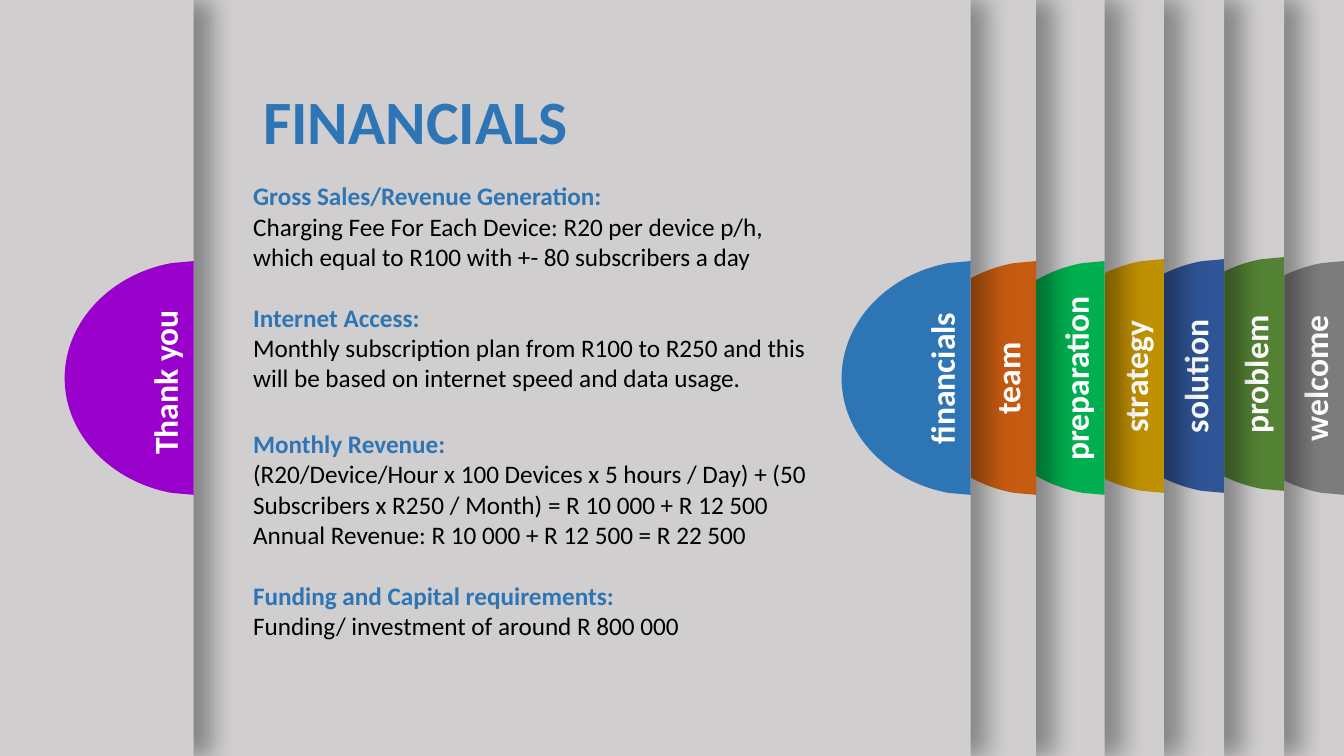
from lxml.etree import SubElement
from pptx import Presentation
from pptx.dml.color import RGBColor as Rgb
from pptx.enum.shapes import MSO_SHAPE as Kind
from pptx.enum.text import MSO_ANCHOR as Anchor, PP_ALIGN as Align
from pptx.oxml.ns import qn
from pptx.util import Cm, Pt

WIDE, HIGH = 33.87, 19.05
TAB_W, TAB_H = 3.25, 5.89
GREY, BLUE, BLACK, WHITE = "D0CECE", "2E75B6", "000000", "FFFFFF"
CURVE = [(2.69, 5.84), (1.17, 5.56), (0, 4.37), (0, 2.95)]

TABS = [
    ("welcome", 33.87, 6.58, "7C7C7C"),
    ("problem", 32.36, 6.48, "548235"),
    ("solution", 30.85, 6.53, "2F5597"),
    ("strategy", 29.33, 6.53, "BF9000"),
    ("preparation", 27.84, 6.58, "00B050"),
    ("team", 26.11, 6.58, "C55A11"),
    ("financials", 24.46, 6.58, BLUE),
    ("Thank you ", 4.88, 6.58, "9900CC"),
]

SALES = [
    ("Gross Sales/Revenue Generation:", [
        "Charging Fee For Each Device: R20 per device p/h, "
        "which equal to R100 with +- 80 subscribers a day"]),
    ("Internet Access:", [
        "Monthly subscription plan from R100 to R250 and this "
        "will be based on internet speed and data usage."]),
]
INCOME = [
    ("Monthly Revenue:", [
        "(R20/Device/Hour x 100 Devices x 5 hours / Day) + "
        "(50 Subscribers x R250 / Month) = R 10 000 + R 12 500",
        "Annual Revenue: R 10 000 + R 12 500 = R 22 500"]),
    ("Funding and Capital requirements:", [
        "Funding/ investment of around R 800 000"]),
]


def paint(fill, color):
    fill.solid()
    fill.fore_color.rgb = Rgb.from_string(color)


def write(para, text, size=18, color=BLACK, bold=False, align=Align.LEFT, gap=0):
    para.alignment = align
    para.space_before = Pt(gap)
    run = para.add_run()
    run.text = text
    font = run.font
    font.name, font.size, font.bold = "Calibri", Pt(size), bold
    paint(font.fill, color)


def finish(shape, color):
    paint(shape.fill, color)
    shape.line.fill.background()
    shape.shadow.inherit = False


def add_panel(shapes, right):
    panel = shapes.add_shape(Kind.RECTANGLE, Cm(right - WIDE), 0, Cm(WIDE), Cm(HIGH))
    finish(panel, GREY)
    effects = panel._element.spPr.find(qn("a:effectLst"))
    shade = SubElement(effects, qn("a:outerShdw"), blurRad=str(Pt(17)),
                       dist=str(Pt(3)), dir="0", sx="101000", algn="l",
                       rotWithShape="0")
    color = SubElement(shade, qn("a:srgbClr"), val=BLACK)
    SubElement(color, qn("a:alpha"), val="35000")


def round_off(shape, first):
    lines = list(shape._element.iter(qn("a:lnTo")))[first:]
    for start in range(0, 6, 3):
        arc, *rest = lines[start:start + 3]
        curve = arc.makeelement(qn("a:cubicBezTo"))
        arc.addprevious(curve)
        for line in (arc, *rest):
            curve.append(line[0])
            line.getparent().remove(line)


def add_tab(shapes, label, right, top, color):
    upper = [(x, TAB_H - y) for x, y in reversed(CURVE[:-1])]
    outline = [(TAB_W, 0), (TAB_W, TAB_H)] + CURVE + upper
    points = [(Cm(right - TAB_W + x), Cm(top + y)) for x, y in outline]
    pen = shapes.build_freeform(*points[0])
    pen.add_line_segments(points[1:], close=True)
    tab = pen.convert_to_shape()
    round_off(tab, 2)
    finish(tab, color)
    frame = tab.text_frame
    frame.vertical_anchor = Anchor.MIDDLE
    frame.margin_left, frame.margin_right = Cm(1.88), Cm(0.1)
    frame.margin_top, frame.margin_bottom = Cm(0.23), Cm(0.2)
    frame._txBody.bodyPr.set("vert", "vert270")
    write(frame.paragraphs[0], label, size=24, color=WHITE, bold=True,
          align=Align.CENTER)


def add_body(shapes, top, width, groups):
    box = shapes.add_textbox(Cm(6.13), Cm(top), Cm(width), Cm(6.4))
    frame = box.text_frame
    frame.word_wrap = True
    para = frame.paragraphs[0]
    for index, (head, lines) in enumerate(groups):
        if index:
            para = frame.add_paragraph()
        write(para, head, color=BLUE, bold=True, gap=22 if index else 0)
        for line in lines:
            write(frame.add_paragraph(), line)


def set_title(shapes, text):
    title = shapes.title
    title.left, title.top = Cm(6.38), Cm(1.96)
    title.width, title.height = Cm(13.31), Cm(2.13)
    title.text_frame.vertical_anchor = Anchor.TOP
    write(title.text_frame.paragraphs[0], text, size=44, color=BLUE, bold=True)
    shapes._spTree.append(title._element)


def main():
    deck = Presentation()
    deck.slide_width, deck.slide_height = Cm(WIDE), Cm(HIGH)
    slide = deck.slides.add_slide(deck.slide_layouts[5])
    paint(slide.background.fill, GREY)
    shapes = slide.shapes
    for label, right, top, color in TABS:
        add_panel(shapes, right)
        add_tab(shapes, label, right, top, color)
    set_title(shapes, "FINANCIALS")
    add_body(shapes, 4.43, 14.94, SALES)
    add_body(shapes, 10.67, 15.44, INCOME)
    deck.save("out.pptx")


if __name__ == "__main__":
    main()
